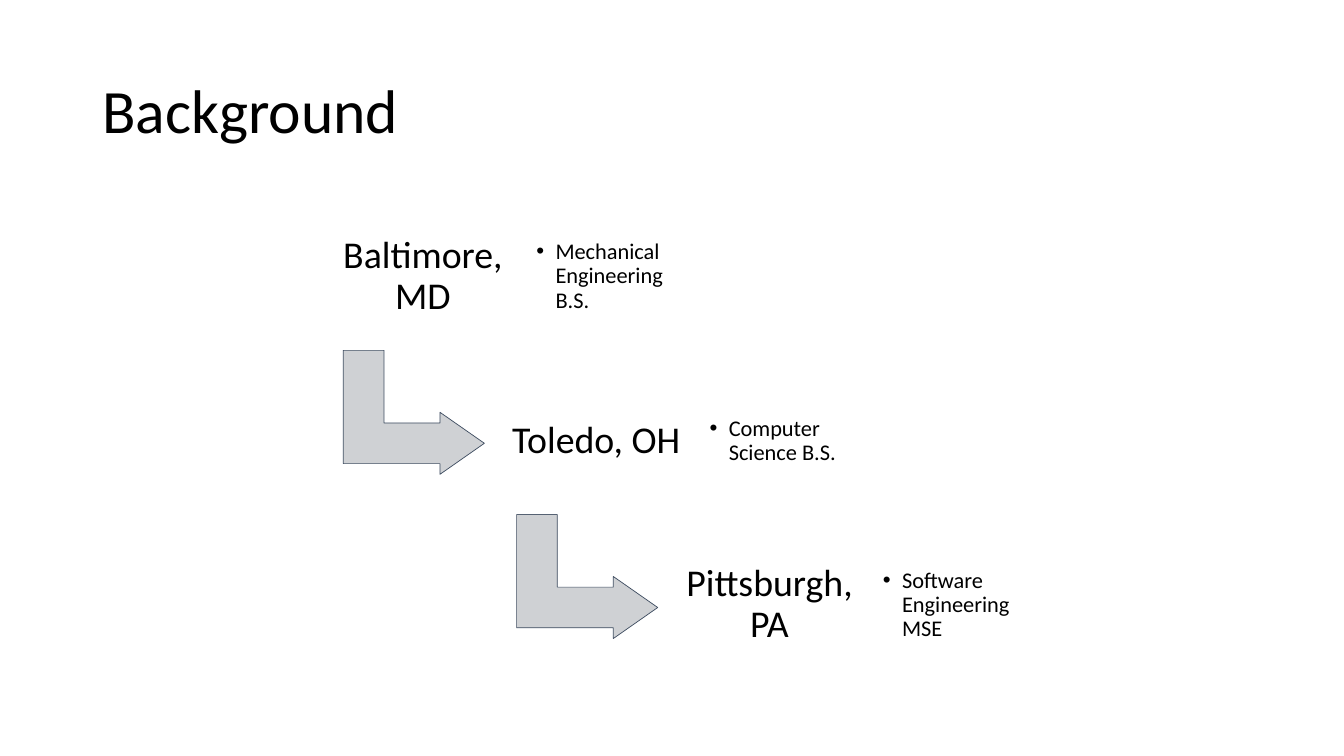
from lxml.etree import SubElement
from pptx import Presentation
from pptx.dml.color import RGBColor
from pptx.enum.shapes import MSO_SHAPE
from pptx.enum.text import MSO_ANCHOR, PP_ALIGN
from pptx.oxml.ns import qn
from pptx.util import Pt

COLORS = {"text": "000000", "card": "FFFFFF", "arrow": "CFD1D4", "outline": "3E4C60"}
FONT = "Calibri"


def write_text(frame, text, size, align=PP_ALIGN.LEFT, margins=(7.2, 3.6), bullet_indent=0):
    """Fill a text frame with one vertically centred paragraph."""
    frame.word_wrap = True
    frame.vertical_anchor = MSO_ANCHOR.MIDDLE
    frame.margin_left = frame.margin_right = Pt(margins[0])
    frame.margin_top = frame.margin_bottom = Pt(margins[1])
    paragraph = frame.paragraphs[0]
    paragraph.alignment = align
    paragraph.line_spacing = 0.9
    run = paragraph.add_run()
    run.text = text
    run.font.name = FONT
    run.font.size = Pt(size)
    run.font.color.rgb = RGBColor.from_string(COLORS["text"])
    if bullet_indent:
        paragraph.level = 1
        properties = paragraph._p.get_or_add_pPr()
        properties.set("marL", str(Pt(bullet_indent)))
        properties.set("indent", str(-Pt(bullet_indent)))
        SubElement(properties, qn("a:buFont"), typeface="Arial")
        SubElement(properties, qn("a:buChar"), char="•")


class SlideBuilder:
    def __init__(self, slide):
        self.shapes = slide.shapes

    def text(self, box, text, size, **text_format):
        label = self.shapes.add_textbox(*map(Pt, box))
        write_text(label.text_frame, text, size, **text_format)

    def shape(self, kind, box, fill, adjustments, outline=None, rotation=0):
        figure = self.shapes.add_shape(kind, *map(Pt, box))
        figure.shadow.inherit = False
        figure.rotation = rotation
        for index, value in enumerate(adjustments):
            figure.adjustments[index] = value
        figure.fill.solid()
        figure.fill.fore_color.rgb = RGBColor.from_string(COLORS[fill])
        if outline:
            figure.line.color.rgb = RGBColor.from_string(COLORS[outline])
            figure.line.width = Pt(0.5)
        else:
            figure.line.fill.background()

    def step_arrow(self, left, top):
        self.shape(MSO_SHAPE.BENT_UP_ARROW, (left + 23.7, top + 98.6, 88.6, 100.8),
                   "arrow", (0.328, 0.25, 0.358), outline="outline", rotation=90)

    def step(self, left, top, city, degree):
        self.shape(MSO_SHAPE.ROUNDED_RECTANGLE, (left, top, 149, 104.4), "card", (0.167,))
        self.text((left + 5, top + 5, 139, 94.4), city, 27,
                  align=PP_ALIGN.CENTER, margins=(8, 8))
        self.text((left + 149, top + 10, 108.7, 84.3), degree, 16,
                  margins=(6.5, 6.5), bullet_indent=13.7)


def main():
    presentation = Presentation()
    presentation.slide_width, presentation.slide_height = Pt(960), Pt(540)
    builder = SlideBuilder(presentation.slides.add_slide(presentation.slide_layouts[6]))

    # Title
    builder.text((66, 28.8, 828, 104.4), "Background", 44)

    # Descending steps, each joined to the next by an arrow
    steps = [
        ("Baltimore, MD", "Mechanical Engineering B.S."),
        ("Toledo, OH", "Computer Science B.S."),
        ("Pittsburgh, PA", "Software Engineering MSE"),
    ]
    for index, (city, degree) in enumerate(steps):
        left, top = 227.6 + 123.8 * index, 145.5 + 117.3 * index
        if index < len(steps) - 1:
            builder.step_arrow(left, top)
        builder.step(left, top, city, degree)

    presentation.save("out.pptx")


if __name__ == "__main__":
    main()
